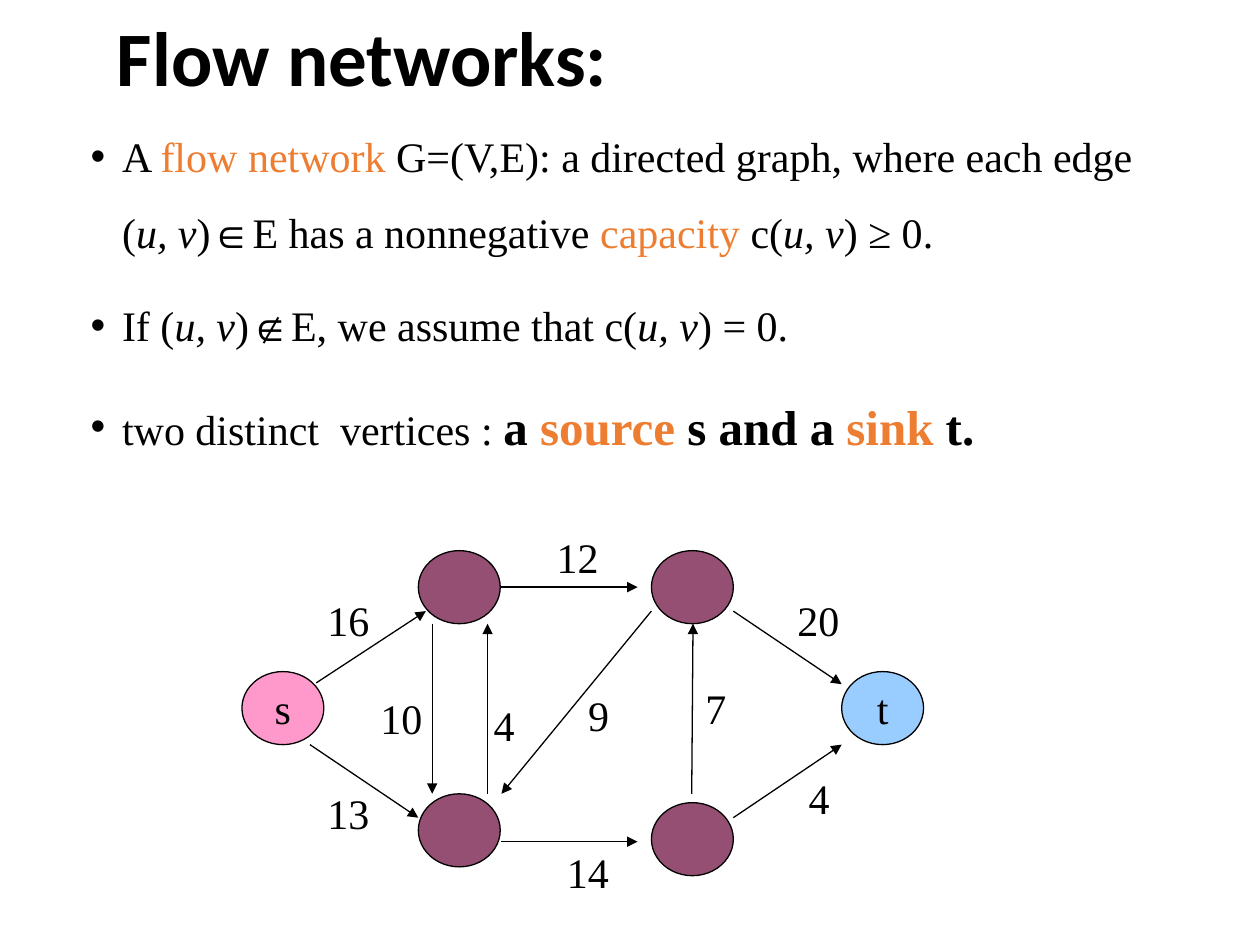
from dataclasses import dataclass

from lxml.etree import SubElement
from pptx import Presentation
from pptx.dml.color import RGBColor
from pptx.enum.shapes import MSO_CONNECTOR, MSO_SHAPE
from pptx.enum.text import MSO_ANCHOR, PP_ALIGN
from pptx.oxml.ns import qn
from pptx.util import Inches, Pt


@dataclass(frozen=True)
class Theme:
    black: RGBColor = RGBColor(0x00, 0x00, 0x00)
    orange: RGBColor = RGBColor(0xED, 0x7D, 0x31)
    plum: RGBColor = RGBColor(0x95, 0x4F, 0x72)
    pink: RGBColor = RGBColor(0xFF, 0x99, 0xCC)
    blue: RGBColor = RGBColor(0x99, 0xCC, 0xFF)
    title_font: str = "Calibri"
    body_font: str = "Times New Roman"
    title_size: int = 44
    body_size: int = 24
    strong_size: int = 28
    line_width: float = 0.75


theme = Theme()


def write(paragraph, text, *, font=theme.body_font, size=theme.body_size,
          color=theme.black, bold=False, italic=False):
    run = paragraph.add_run()
    run.text = text
    run.font.name = font
    run.font.size = Pt(size)
    run.font.color.rgb = color
    run.font.bold = bold
    run.font.italic = italic


presentation = Presentation()
presentation.slide_width = Inches(10)
presentation.slide_height = Inches(7.5)
slide = presentation.slides.add_slide(presentation.slide_layouts[6])

# Title
title = slide.shapes.add_textbox(Inches(0.83), Inches(0.04), Inches(8.48), Inches(0.89))
title.text_frame.word_wrap = True
title.text_frame.vertical_anchor = MSO_ANCHOR.MIDDLE
paragraph = title.text_frame.paragraphs[0]
paragraph.line_spacing = 0.9
write(paragraph, "Flow networks:", font=theme.title_font, size=theme.title_size, bold=True)

# Bulleted definitions
term = {"color": theme.orange}
variable = {"italic": True}
strong = {"size": theme.strong_size, "bold": True}
definitions = [
    [("A ", {}), ("flow network", term),
     (" G=(V,E): a directed graph, where each edge (", {}), ("u, v", variable),
     (")∈E has a nonnegative ", {}), ("capacity", term), (" c(", {}),
     ("u, v", variable), (") ≥ 0.", {})],
    [("If (", {}), ("u, v", variable), (")∉E, we assume that c(", {}),
     ("u, v", variable), (") = 0.", {})],
    [("two distinct  vertices : ", {}), ("a ", strong), ("source", strong | term),
     (" s and a ", strong), ("sink", strong | term), (" t.", strong)],
]
body = slide.shapes.add_textbox(Inches(0.62), Inches(0.79), Inches(8.62), Inches(3.3))
body.text_frame.word_wrap = True
for index, pieces in enumerate(definitions):
    paragraph = body.text_frame.paragraphs[0] if index == 0 else body.text_frame.add_paragraph()
    paragraph.line_spacing = 1.5
    paragraph.space_before = Pt(10)
    properties = paragraph._p.get_or_add_pPr()
    properties.set("marL", str(Inches(0.25)))
    properties.set("indent", str(Inches(-0.25)))
    SubElement(properties, qn("a:buFont")).set("typeface", "Arial")
    SubElement(properties, qn("a:buChar")).set("char", "•")
    for text, style in pieces:
        write(paragraph, text, **style)

# Vertices: left, top, fill, name
vertices = [
    (1.92, 5.33, theme.pink, "s"),
    (3.32, 6.3, theme.plum, ""),
    (5.17, 6.37, theme.plum, ""),
    (6.68, 5.33, theme.blue, "t"),
    (5.17, 4.37, theme.plum, ""),
    (3.32, 4.37, theme.plum, ""),
]
for left, top, fill, name in vertices:
    vertex = slide.shapes.add_shape(
        MSO_SHAPE.OVAL, Inches(left), Inches(top), Inches(0.65), Inches(0.58))
    vertex.shadow.inherit = False
    vertex.fill.solid()
    vertex.fill.fore_color.rgb = fill
    vertex.line.color.rgb = theme.black
    vertex.line.width = Pt(theme.line_width)
    if name:
        vertex.text_frame.word_wrap = False
        vertex.text_frame.vertical_anchor = MSO_ANCHOR.MIDDLE
        paragraph = vertex.text_frame.paragraphs[0]
        paragraph.alignment = PP_ALIGN.CENTER
        write(paragraph, name)

# Edges with capacities: start, end, capacity, label corner
edges = [
    ((2.51, 5.42), (3.38, 4.85), "16", (2.5, 4.67)),
    ((2.46, 5.91), (3.32, 6.49), "13", (2.5, 6.2)),
    ((3.43, 4.95), (3.43, 6.3), "10", (2.92, 5.45)),
    ((3.87, 6.3), (3.87, 4.95), "4", (3.82, 5.5)),
    ((3.98, 4.66), (5.06, 4.66), "12", (4.32, 4.17)),
    ((3.98, 6.68), (5.06, 6.68), "14", (4.4, 6.67)),
    ((5.82, 4.85), (6.68, 5.43), "20", (6.23, 4.67)),
    ((5.82, 6.49), (6.68, 5.91), "4", (6.32, 6.08)),
    ((5.49, 6.3), (5.5, 4.95), "7", (5.5, 5.37)),
    ((5.17, 4.85), (3.98, 6.3), "9", (4.57, 5.42)),
]
for start, end, capacity, corner in edges:
    edge = slide.shapes.add_connector(
        MSO_CONNECTOR.STRAIGHT, *map(Inches, start), *map(Inches, end))
    edge.line.color.rgb = theme.black
    edge.line.width = Pt(theme.line_width)
    SubElement(edge.line._get_or_add_ln(), qn("a:tailEnd")).set("type", "triangle")
    SubElement(edge._element.spPr, qn("a:effectLst"))

    width = 0.53 if len(capacity) == 2 else 0.37
    label = slide.shapes.add_textbox(*map(Inches, corner), Inches(width), Inches(0.5))
    label.text_frame.word_wrap = False
    write(label.text_frame.paragraphs[0], capacity)

presentation.save("out.pptx")
